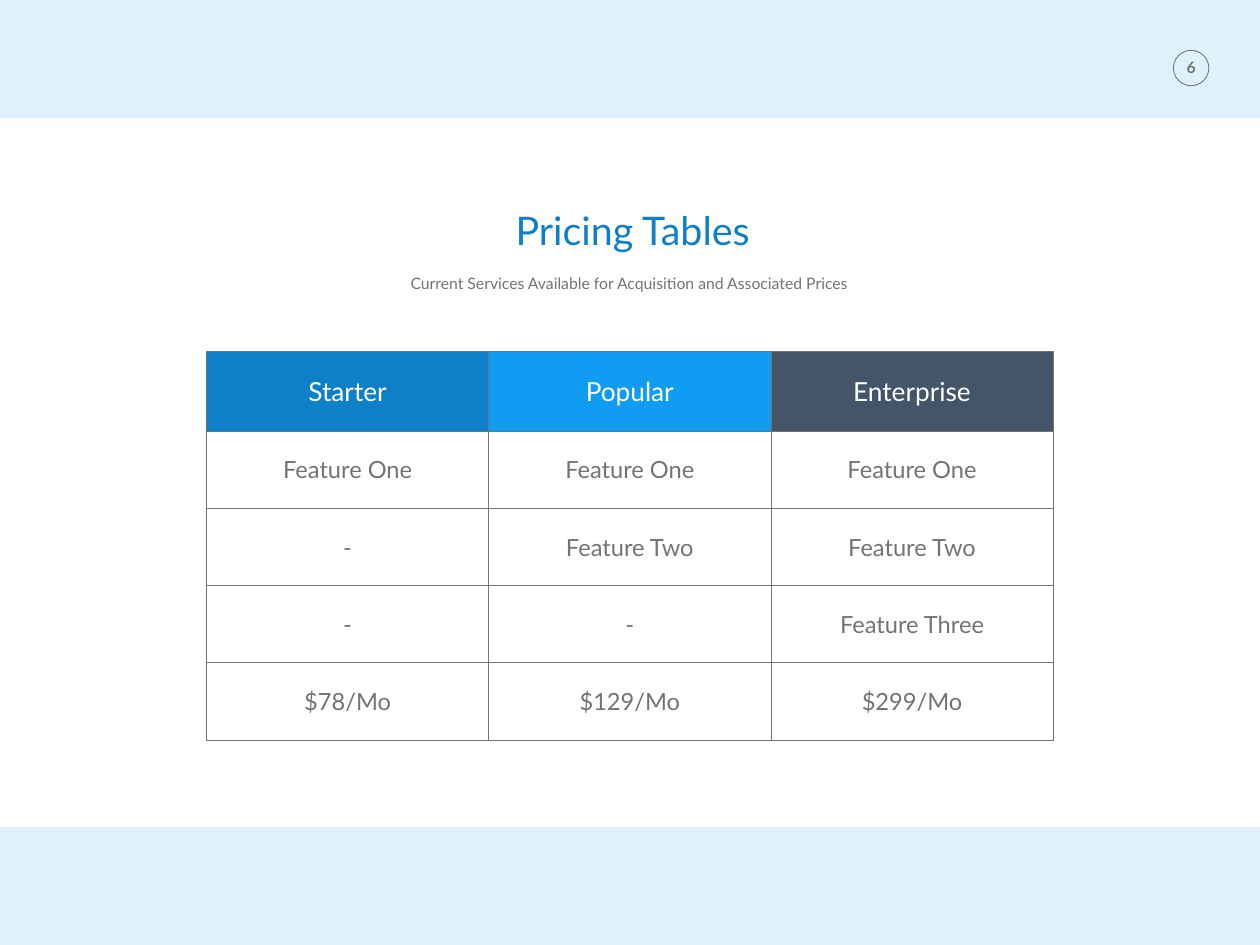
from lxml import etree
from pptx import Presentation
from pptx.dml.color import RGBColor
from pptx.enum.shapes import MSO_SHAPE as Shape
from pptx.enum.text import MSO_ANCHOR as Anchor, PP_ALIGN as Align
from pptx.oxml.ns import qn
from pptx.util import Pt

PALE_BLUE = RGBColor(0xDE, 0xF1, 0xFD)
WHITE = RGBColor(0xFF, 0xFF, 0xFF)
GREY = RGBColor(0x73, 0x75, 0x72)
BLUE = RGBColor(0x0E, 0x80, 0xC9)
BRIGHT_BLUE = RGBColor(0x11, 0x9C, 0xF4)
SLATE = RGBColor(0x44, 0x54, 0x69)
FONT = "Lato"

PLANS = [
    ("Starter", BLUE, ["Feature One", "-", "-", "$78/Mo"]),
    ("Popular", BRIGHT_BLUE, ["Feature One", "Feature Two", "-", "$129/Mo"]),
    ("Enterprise", SLATE,
     ["Feature One", "Feature Two", "Feature Three", "$299/Mo"]),
]


def write(frame, words, size, color, bold=False):
    """Put one centred, styled line into a text frame and return its paragraph."""
    frame.text = words
    line = frame.paragraphs[0]
    line.alignment = Align.CENTER
    font = line.runs[0].font
    font.name, font.size, font.bold = FONT, Pt(size), bold
    font.color.rgb = color
    return line


def add_line_of_text(slide, box, words, size, color, inset, **style):
    """Add a text box with (horizontal, vertical) insets; return its paragraph."""
    frame = slide.shapes.add_textbox(*map(Pt, box)).text_frame
    frame.word_wrap = True
    frame.margin_left = frame.margin_right = Pt(inset[0])
    frame.margin_top = frame.margin_bottom = Pt(inset[1])
    return write(frame, words, size, color, **style)


def add_page_badge(slide, box, number):
    """Draw the ringed page number."""
    left, top, width, height = box
    ring = slide.shapes.add_shape(Shape.OVAL, *map(Pt, box))
    ring.shadow.inherit = False
    ring.fill.background()
    ring.line.color.rgb = GREY
    ring.line.width = Pt(1)
    label = (left, top + 3, width, height - 8)
    add_line_of_text(slide, label, number, 18, GREY, (0, 5.8), bold=True)


def add_panel(slide, box):
    """Draw the white band behind the content."""
    panel = slide.shapes.add_shape(Shape.RECTANGLE, *map(Pt, box))
    panel.shadow.inherit = False
    panel.fill.solid()
    panel.fill.fore_color.rgb = WHITE
    panel.line.fill.background()


def add_heading(slide, box):
    """Place the title with the subtitle below it."""
    left, top, width, height = box
    add_line_of_text(slide, (left + 22, top, width - 36, 62),
                     "Pricing Tables", 45, BLUE, (7.2, 3.6))
    subtitle = add_line_of_text(
        slide, (left, top + 65.5, width, height - 65.5),
        "Current Services Available for Acquisition and Associated Prices",
        18, GREY, (10.8, 5.8))
    subtitle.line_spacing = 1.4
    subtitle.space_before = Pt(20)


def add_borders(cell):
    """Give a cell thin grey lines on all four sides."""
    properties = cell._tc.get_or_add_tcPr()
    for index, side in enumerate(("a:lnL", "a:lnR", "a:lnT", "a:lnB")):
        border = etree.Element(qn(side), w=str(Pt(1)))
        fill = etree.SubElement(border, qn("a:solidFill"))
        etree.SubElement(fill, qn("a:srgbClr"), val=str(GREY))
        properties.insert(index, border)


def add_pricing_table(slide, box, header_height):
    """Fill the box with one column per plan, header row on top."""
    left, top, width, height = box
    row_count = 1 + len(PLANS[0][2])
    table = slide.shapes.add_table(row_count, len(PLANS), *map(Pt, box)).table
    table.first_row = table.horz_banding = False
    for row in table.rows:
        row.height = Pt((height - header_height) / (row_count - 1))
    table.rows[0].height = Pt(header_height)
    for column, (plan, color, features) in enumerate(PLANS):
        table.columns[column].width = Pt(width / len(PLANS))
        for row, words in enumerate([plan, *features]):
            cell = table.cell(row, column)
            cell.vertical_anchor = Anchor.MIDDLE
            cell.margin_left = cell.margin_right = Pt(6)
            cell.margin_top = cell.margin_bottom = Pt(3)
            if row == 0:
                cell.fill.solid()
                cell.fill.fore_color.rgb = color
                write(cell.text_frame, words, 30, WHITE)
            else:
                cell.fill.background()
                write(cell.text_frame, words, 27, GREY)
            add_borders(cell)


def build_pricing_slide(deck):
    """Add the pricing slide to the deck."""
    slide = deck.slides.add_slide(deck.slide_layouts[6])
    slide.background.fill.solid()
    slide.background.fill.fore_color.rgb = PALE_BLUE
    add_page_badge(slide, (1341, 57.5, 40.5, 40.5), "6")
    add_panel(slide, (0, 135, 1440, 810))
    add_pricing_table(slide, (236, 401.5, 967.5, 444.5), 91)
    add_heading(slide, (334, 232.5, 770, 103.5))


deck = Presentation()
deck.slide_width, deck.slide_height = Pt(1440), Pt(1080)
build_pricing_slide(deck)
deck.save("out.pptx")
